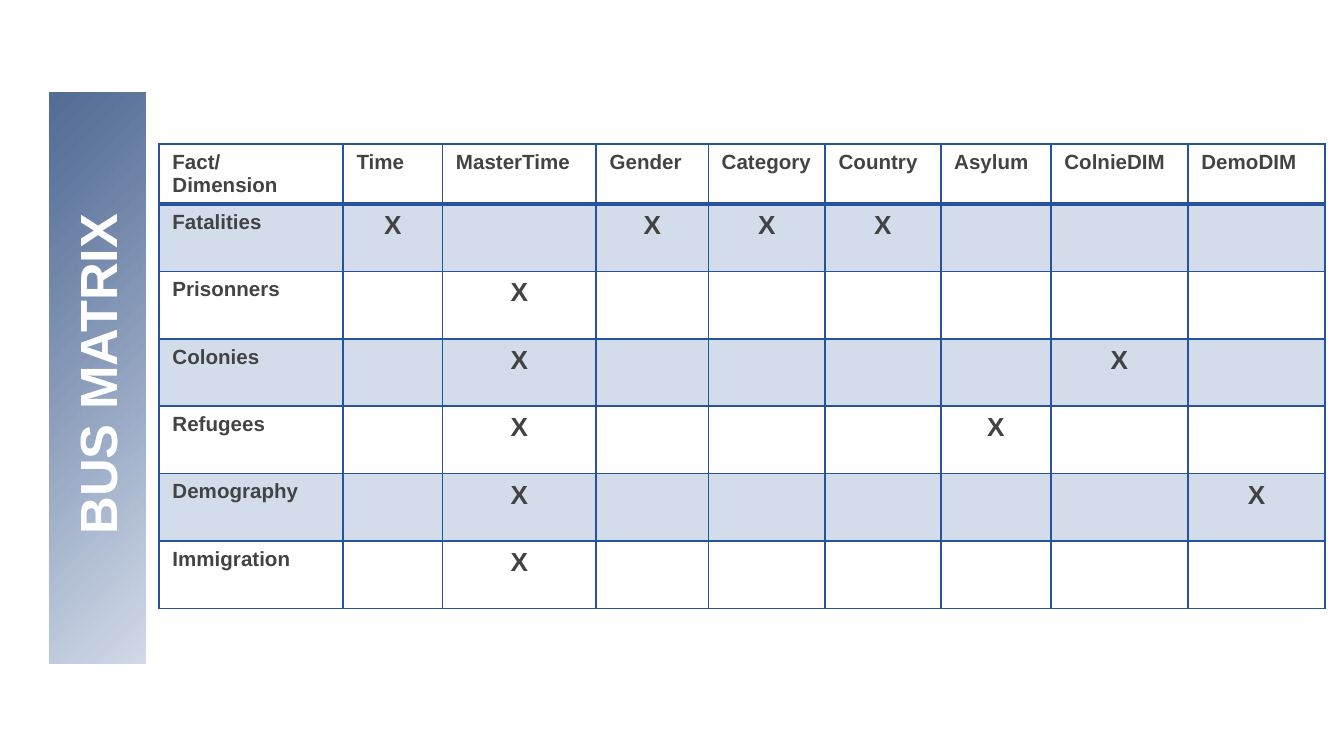
from dataclasses import dataclass

from lxml.etree import SubElement
from pptx import Presentation
from pptx.dml.color import RGBColor
from pptx.enum.shapes import MSO_SHAPE
from pptx.enum.text import MSO_ANCHOR, MSO_AUTO_SIZE, PP_ALIGN
from pptx.oxml.ns import qn
from pptx.slide import Slide
from pptx.table import _Cell
from pptx.util import Emu, Inches, Pt

PAGE_WIDTH = Inches(10)
PAGE_HEIGHT = Emu(PAGE_WIDTH * 9 // 16)


@dataclass(frozen=True)
class Theme:
    font: str = "Arial"
    white: str = "FFFFFF"
    ink: str = "434343"
    accent: str = "26529E"
    panel_light: str = "A9B9D3"
    panel_dark: str = "556D96"
    band_opacity: int = 20
    panel_opacity: int = 31
    title_size: int = 28
    label_size: int = 11
    mark_size: int = 14
    thin: int = 1
    thick: int = 2


@dataclass(frozen=True)
class Box:
    left: float
    top: float
    width: float
    height: float

    def lengths(self) -> tuple[Emu, Emu, Emu, Emu]:
        return (across(self.left), down(self.top), across(self.width), down(self.height))


@dataclass(frozen=True)
class Dimension:
    name: str
    width: float


@dataclass(frozen=True)
class Fact:
    name: str
    dimensions: tuple[str, ...]


THEME = Theme()
PANEL = Box(3.7, 12.27, 7.1, 75.46)
TITLE = Box(-10.2, 45.87, 31.6, 17.42)
MATRIX_LEFT, MATRIX_TOP = 11.83, 19.04
HEADER_HEIGHT, FACT_HEIGHT = 7.95, 8.92
PANEL_LAYERS = 2

DIMENSIONS = (
    Dimension("Fact/ Dimension", 13.7),
    Dimension("Time", 7.4),
    Dimension("MasterTime", 11.44),
    Dimension("Gender", 8.34),
    Dimension("Category", 8.7),
    Dimension("Country", 8.6),
    Dimension("Asylum", 8.2),
    Dimension("ColnieDIM", 10.2),
    Dimension("DemoDIM", 10.2),
)
FACTS = (
    Fact("Fatalities", ("Time", "Gender", "Category", "Country")),
    Fact("Prisonners", ("MasterTime",)),
    Fact("Colonies", ("MasterTime", "ColnieDIM")),
    Fact("Refugees", ("MasterTime", "Asylum")),
    Fact("Demography", ("MasterTime", "DemoDIM")),
    Fact("Immigration", ("MasterTime",)),
)


def across(percent: float) -> Emu:
    return Emu(round(PAGE_WIDTH * percent / 100))


def down(percent: float) -> Emu:
    return Emu(round(PAGE_HEIGHT * percent / 100))


def set_opacity(fill_element, percent: int) -> None:
    color = next(fill_element.iter(qn("a:srgbClr")))
    SubElement(color, qn("a:alpha"), val=str(percent * 1000))


def style_paragraph(para, size: int, color: str, alignment: PP_ALIGN) -> None:
    para.alignment = alignment
    para.font.name = THEME.font
    para.font.size = Pt(size)
    para.font.bold = True
    para.font.color.rgb = RGBColor.from_string(color)


def draw_panel(page: Slide) -> None:
    panel = page.shapes.add_shape(MSO_SHAPE.RECTANGLE, *PANEL.lengths())
    panel.shadow.inherit = False
    panel.line.fill.background()
    panel.fill.gradient()
    panel.fill.gradient_angle = 135
    light, dark = panel.fill.gradient_stops
    light.position, dark.position = 0, 1
    light.color.rgb = RGBColor.from_string(THEME.panel_light)
    dark.color.rgb = RGBColor.from_string(THEME.panel_dark)
    set_opacity(panel.element.spPr.find(qn("a:gradFill")), THEME.panel_opacity)


def draw_title(page: Slide, text: str) -> None:
    title = page.shapes.title
    title.left, title.top, title.width, title.height = TITLE.lengths()
    title.rotation = 270
    frame = title.text_frame
    frame.text = text
    frame.word_wrap = True
    frame.auto_size = MSO_AUTO_SIZE.NONE
    frame.vertical_anchor = MSO_ANCHOR.BOTTOM
    frame.margin_left = frame.margin_right = Inches(0.1)
    frame.margin_top = frame.margin_bottom = Inches(0.1)
    style_paragraph(frame.paragraphs[0], THEME.title_size, THEME.white, PP_ALIGN.RIGHT)
    title.element.getparent().append(title.element)


def draw_borders(cell: _Cell, bottom: int) -> None:
    properties = cell._tc.get_or_add_tcPr()
    widths = {"lnL": THEME.thin, "lnR": THEME.thin, "lnT": THEME.thin, "lnB": bottom}
    for side, width in widths.items():
        line = SubElement(properties, qn(f"a:{side}"), w=str(Pt(width)))
        fill = SubElement(line, qn("a:solidFill"))
        SubElement(fill, qn("a:srgbClr"), val=THEME.accent)


def fill_cell(cell: _Cell, text: str, row: int, column: int) -> None:
    draw_borders(cell, bottom=THEME.thick if row == 0 else THEME.thin)
    if row % 2:
        cell.fill.solid()
        cell.fill.fore_color.rgb = RGBColor.from_string(THEME.accent)
        set_opacity(cell._tc.tcPr.find(qn("a:solidFill")), THEME.band_opacity)
    else:
        cell.fill.background()
    if text:
        cell.text = text
        is_mark = row > 0 and column > 0
        size = THEME.mark_size if is_mark else THEME.label_size
        alignment = PP_ALIGN.CENTER if is_mark else PP_ALIGN.LEFT
        style_paragraph(cell.text_frame.paragraphs[0], size, THEME.ink, alignment)


def draw_matrix(page: Slide) -> None:
    header = [dimension.name for dimension in DIMENSIONS]
    rows = [header] + [
        [fact.name] + ["X" if name in fact.dimensions else "" for name in header[1:]]
        for fact in FACTS
    ]
    heights = [HEADER_HEIGHT] + [FACT_HEIGHT] * len(FACTS)
    box = Box(
        MATRIX_LEFT,
        MATRIX_TOP,
        sum(dimension.width for dimension in DIMENSIONS),
        sum(heights),
    )
    table = page.shapes.add_table(len(rows), len(header), *box.lengths()).table
    table.first_row = table.horz_banding = False
    for column, dimension in zip(table.columns, DIMENSIONS):
        column.width = across(dimension.width)
    for row, height in zip(table.rows, heights):
        row.height = down(height)
    for row, texts in enumerate(rows):
        for column, text in enumerate(texts):
            fill_cell(table.cell(row, column), text, row, column)


def main() -> None:
    deck = Presentation()
    deck.slide_width, deck.slide_height = PAGE_WIDTH, PAGE_HEIGHT
    page = deck.slides.add_slide(deck.slide_layouts.get_by_name("Title Only"))
    for _ in range(PANEL_LAYERS):
        draw_panel(page)
    draw_title(page, "BUS MATRIX")
    draw_matrix(page)
    deck.save("out.pptx")


if __name__ == "__main__":
    main()
